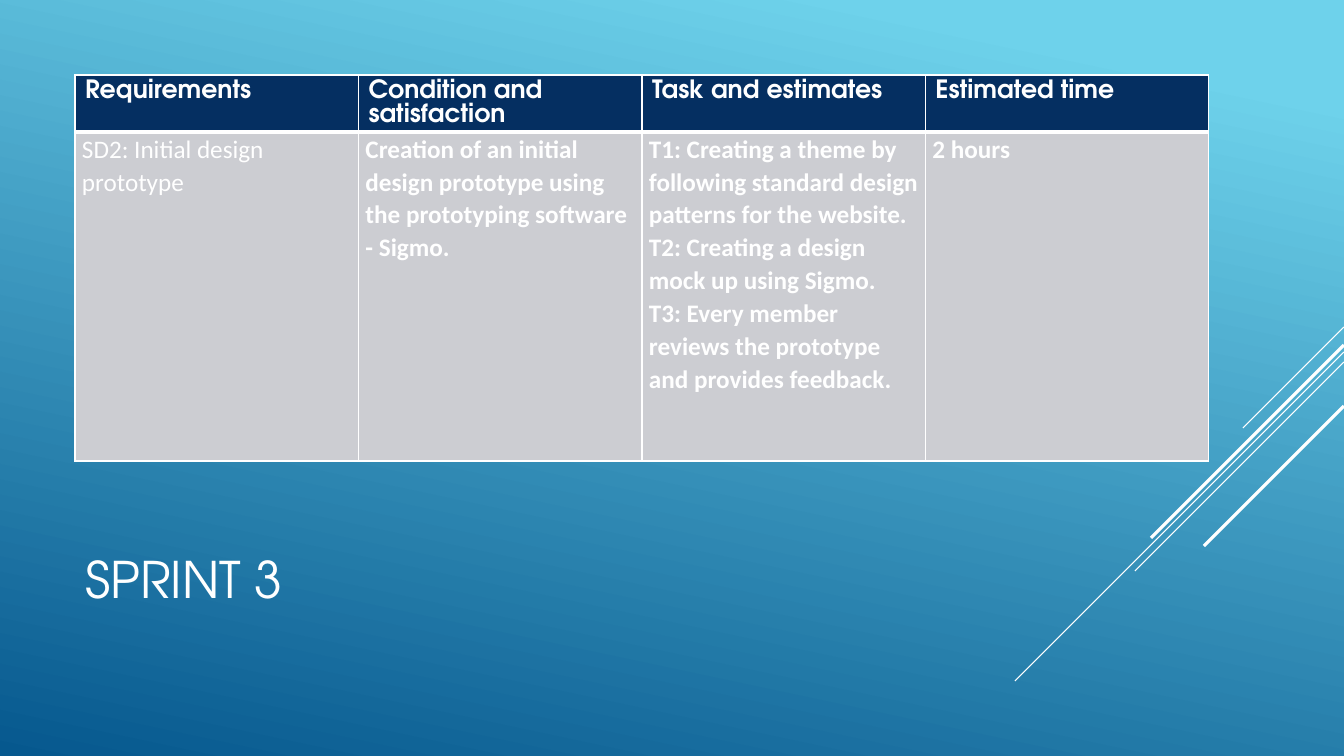
from lxml import etree
from pptx import Presentation, util as u
from pptx.dml.color import RGBColor
from pptx.enum import shapes, text
from pptx.oxml import ns

WHITE = RGBColor(0xFF, 0xFF, 0xFF)
SKY = RGBColor(0x6E, 0xD2, 0xEB)
OCEAN = RGBColor(0x06, 0x58, 0x8E)
NAVY = RGBColor(0x05, 0x2F, 0x61)
GREY = RGBColor(0xCC, 0xCD, 0xD2)
HEAD_FONT, BODY_FONT = "TeX Gyre Adventor", "Calibri"


def px(n):
    return u.Emu(round(n * 914400 / 100.8))


def add_border(cell, side, width):
    ln = etree.SubElement(cell._tc.get_or_add_tcPr(), ns.qn("a:" + side), w=str(u.Pt(width)))
    fill = etree.SubElement(ln, ns.qn("a:solidFill"))
    etree.SubElement(fill, ns.qn("a:srgbClr"), val=str(WHITE))


prs = Presentation()
prs.slide_width, prs.slide_height = px(1344), px(756)
s = prs.slides.add_slide(prs.slide_layouts[5])

# Background gradient
bg = s.background.fill
bg.gradient()
bg.gradient_angle = 258
for stop, position, color in zip(bg.gradient_stops, (0.1, 1), (SKY, OCEAN)):
    stop.position = position
    stop.color.rgb = color

# Diagonal lines: each runs from the right edge down at 45 degrees
for top, run, width in ((327, 101, 0.75), (352, 329, 0.75), (362, 209, 0.75),
                        (345, 193, 2.25), (406, 140, 2.25)):
    line = s.shapes.add_connector(shapes.MSO_CONNECTOR.STRAIGHT,
                                  px(1344), px(top), px(1344 - run), px(top + run))
    line.line.color.rgb = WHITE
    line.line.width = u.Pt(width)
    etree.SubElement(line._element.spPr, ns.qn("a:effectLst"))

# Title
title = s.shapes.title
title.left, title.top, title.width, title.height = px(75), px(495), px(941), px(166)
tf = title.text_frame
tf.text = "SPRINT 3"
tf.vertical_anchor = text.MSO_ANCHOR.MIDDLE
p = tf.paragraphs[0]
p.alignment = text.PP_ALIGN.LEFT
font = p.runs[0].font
font.name, font.size, font.color.rgb = HEAD_FONT, u.Pt(36), WHITE

# Sprint table
rows = (
    ("Requirements", "Condition and satisfaction", "Task and estimates", "Estimated time"),
    ("SD2: Initial design prototype",
     "Creation of an initial design prototype using the prototyping software - Sigmo.",
     "T1: Creating a theme by following standard design patterns for the website.\n"
     "T2: Creating a design mock up using Sigmo.\n"
     "T3: Every member reviews the prototype and provides feedback.",
     "2 hours"),
)
table = s.shapes.add_table(2, 4, px(75), px(75), px(1134), px(386)).table
table.rows[0].height, table.rows[1].height = px(57), px(329)
for i, row in enumerate(rows):
    header = i == 0
    for j, words in enumerate(row):
        cell = table.cell(i, j)
        cell.text = words
        for side, width in (("lnL", 1), ("lnR", 1), ("lnT", 1 if header else 3),
                            ("lnB", 3 if header else 1)):
            add_border(cell, side, width)
        cell.fill.solid()
        cell.fill.fore_color.rgb = NAVY if header else GREY
        if not header:
            cell.margin_left = cell.margin_right = px(7)
            cell.margin_top = cell.margin_bottom = 0
        for p in cell.text_frame.paragraphs:
            if not header:
                p.line_spacing = 1.07
            font = p.runs[0].font
            font.name = HEAD_FONT if header else BODY_FONT
            font.size, font.color.rgb = u.Pt(18), WHITE
            font.bold = header or j > 0

prs.save("out.pptx")
